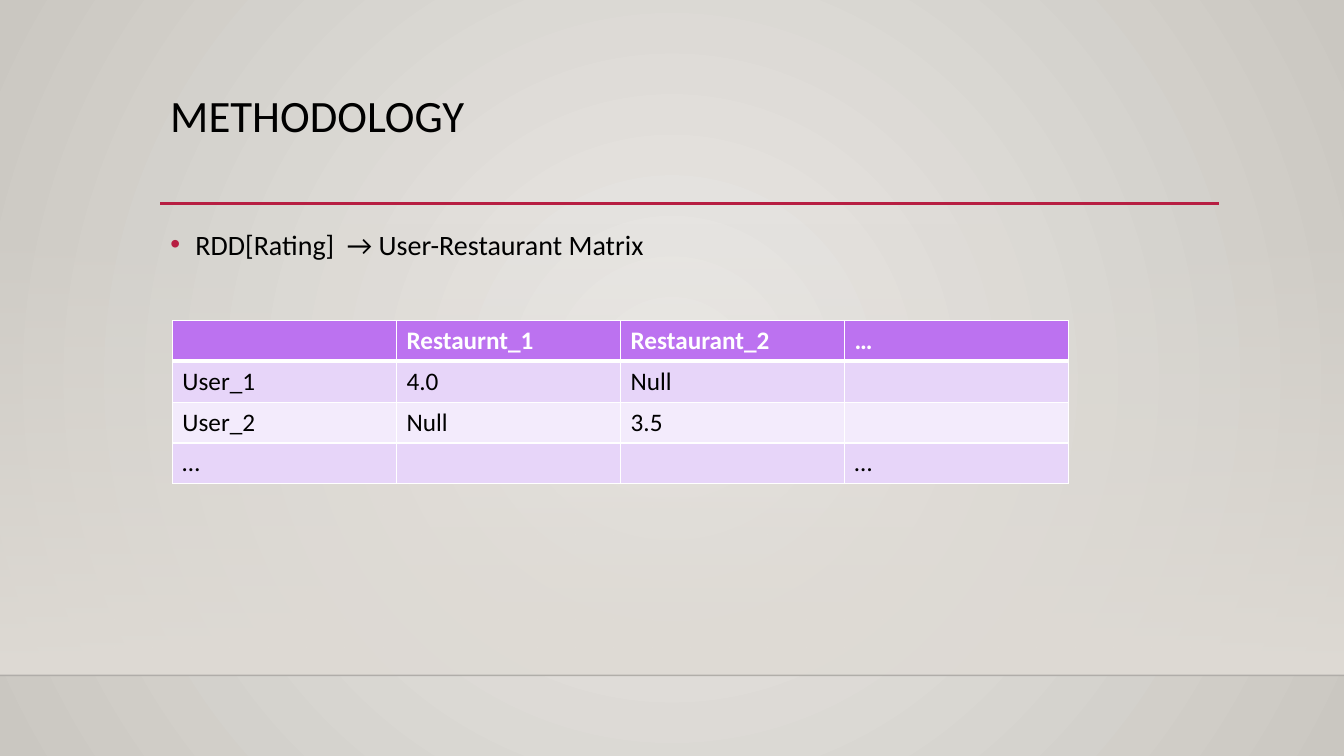
from pptx import Presentation
from pptx.dml.color import RGBColor as RGB
from pptx.enum.shapes import MSO_CONNECTOR as CONN, MSO_SHAPE as SHAPE
from pptx.enum.text import MSO_ANCHOR as ANCHOR, PP_ALIGN as ALIGN
from pptx.oxml import parse_xml
from pptx.oxml.ns import nsdecls
from pptx.util import Inches, Pt

COLORS = {
    "ink": "000000", "white": "FFFFFF", "accent": "B71E42",
    "centre": "ECEAE7", "edge": "CAC7C1", "wall": "DFDBD5", "floor": "000001",
    "head": "BC72F0", "odd": "E7D5F9", "even": "F3EBFC",
}
FONT = "Calibri"
W, H = Inches(13.33), Inches(7.5)
MATRIX = [
    ["", "Restaurnt_1", "Restaurant_2", "…"],
    ["User_1", "4.0", "Null", ""],
    ["User_2", "Null", "3.5", ""],
    ["…", "", "", "…"],
]


def color(name):
    """Return the named colour."""
    return RGB.from_string(COLORS[name])


def gradient(stops, direction):
    """Return a gradient fill from (position, colour, opacity) stops."""
    gs = "".join(
        f'<a:gs pos="{pos * 1000}"><a:srgbClr val="{COLORS[name]}">'
        f'<a:alpha val="{alpha * 1000}"/></a:srgbClr></a:gs>'
        for pos, name, alpha in stops)
    return parse_xml(f'<a:gradFill {nsdecls("a")} rotWithShape="1">'
                     f'<a:gsLst>{gs}</a:gsLst>{direction}</a:gradFill>')


def add_line(s, x1, x2, y, name, width, alpha=100):
    """Draw a horizontal line."""
    line = s.shapes.add_connector(CONN.STRAIGHT, x1, y, x2, y)
    line.line.color.rgb = color(name)
    line.line.width = Pt(width)
    clr = line.line.fill.fore_color._xFill[0]
    clr.append(parse_xml(f'<a:alpha {nsdecls("a")} val="{alpha * 1000}"/>'))
    line._element.spPr.append(parse_xml(f'<a:effectLst {nsdecls("a")}/>'))


def add_run(p, text, size, name="ink", bold=False):
    """Add one styled run to a paragraph."""
    r = p.add_run()
    r.text = text
    r.font.name, r.font.size, r.font.bold = FONT, Pt(size), bold
    r.font.color.rgb = color(name)


def add_text(s, box, text, size, spacing):
    """Place a wrapped text box and return its paragraph."""
    tf = s.shapes.add_textbox(*box).text_frame
    tf.word_wrap = True
    tf.vertical_anchor = ANCHOR.TOP
    p = tf.paragraphs[0]
    p.alignment = ALIGN.LEFT
    p.line_spacing = spacing
    add_run(p, text, size)
    return p


def add_backdrop(s, box):
    """Fill the background and place the wall and floor line in the box."""
    x, y, w, h = box
    fill = s.background.fill
    fill.solid()
    old = s.background._cSld.bg.bgPr[0]
    old.getparent().replace(old, gradient(
        [(0, "centre", 100), (100, "edge", 100)],
        '<a:path path="circle"><a:fillToRect l="50000" t="50000" '
        'r="50000" b="50000"/></a:path>'))
    wall = s.shapes.add_shape(SHAPE.RECTANGLE, x, y, w, h)
    wall.shadow.inherit = False
    wall.line.fill.background()
    wall.fill.solid()
    old = wall.fill._xPr.solidFill
    old.getparent().replace(old, gradient(
        [(0, "wall", 0), (100, "wall", 100)],
        '<a:lin ang="5400000" scaled="0"/>'))
    add_line(s, x, x + w, y + h, "floor", 1, 20)


def add_title(s, box, text):
    """Place the title with the accent rule below it."""
    x, y, w, h = box
    add_text(s, box, text, 32, 0.9)
    add_line(s, x, x + w, y + h, "accent", 2.5)


def add_bullet(s, box, text):
    """Place a bulleted line."""
    p = add_text(s, box, text, 20, 1.2)
    p.space_before = Pt(10)
    pPr = p._p.get_or_add_pPr()
    pPr.set("marL", str(Inches(0.25)))
    pPr.set("indent", str(-Inches(0.25)))
    for tag in (f'<a:buClr {{}}><a:srgbClr val="{COLORS["accent"]}"/></a:buClr>',
                '<a:buFont {} typeface="Arial"/>', '<a:buChar {} char="•"/>'):
        pPr.append(parse_xml(tag.format(nsdecls("a"))))


def set_borders(cell, widths):
    """Give a cell white borders, widths keyed by side."""
    tcPr = cell._tc.get_or_add_tcPr()
    for i, (side, width) in enumerate(widths.items()):
        tcPr.insert(i, parse_xml(
            f'<a:ln{side} {nsdecls("a")} w="{Pt(width)}"><a:solidFill>'
            f'<a:srgbClr val="{COLORS["white"]}"/></a:solidFill></a:ln{side}>'))


def add_matrix(s, box, rows):
    """Place the rating table with equal rows and columns."""
    x, y, w, h = box
    table = s.shapes.add_table(len(rows), len(rows[0]), x, y, w, h).table
    for col in table.columns:
        col.width = w // len(rows[0])
    for i, row in enumerate(rows):
        table.rows[i].height = h // len(rows)
        fill = "head" if i == 0 else "odd" if i % 2 else "even"
        for j, text in enumerate(row):
            cell = table.cell(i, j)
            cell.fill.solid()
            cell.fill.fore_color.rgb = color(fill)
            set_borders(cell, {"L": 1, "R": 1, "T": 3 if i == 1 else 1,
                               "B": 3 if i == 0 else 1})
            if text:
                add_run(cell.text_frame.paragraphs[0], text, 18,
                        "ink" if i else "white", i == 0)


def main():
    """Build the slide and save it."""
    prs = Presentation()
    prs.slide_width, prs.slide_height = W, H
    s = prs.slides.add_slide(prs.slide_layouts[6])
    left = Inches(1.59)
    add_backdrop(s, (0, Inches(2.21), W, Inches(4.49)))
    add_title(s, (left, Inches(0.88), Inches(10.5), Inches(1.14)), "METHODOLOGY")
    add_bullet(s, (left, Inches(2.14), Inches(11.32), Inches(3.69)),
               "RDD[Rating]  → User-Restaurant Matrix")
    add_matrix(s, (Inches(1.71), Inches(3.18), Inches(8.89), Inches(1.62)), MATRIX)
    prs.save("out.pptx")


if __name__ == "__main__":
    main()
